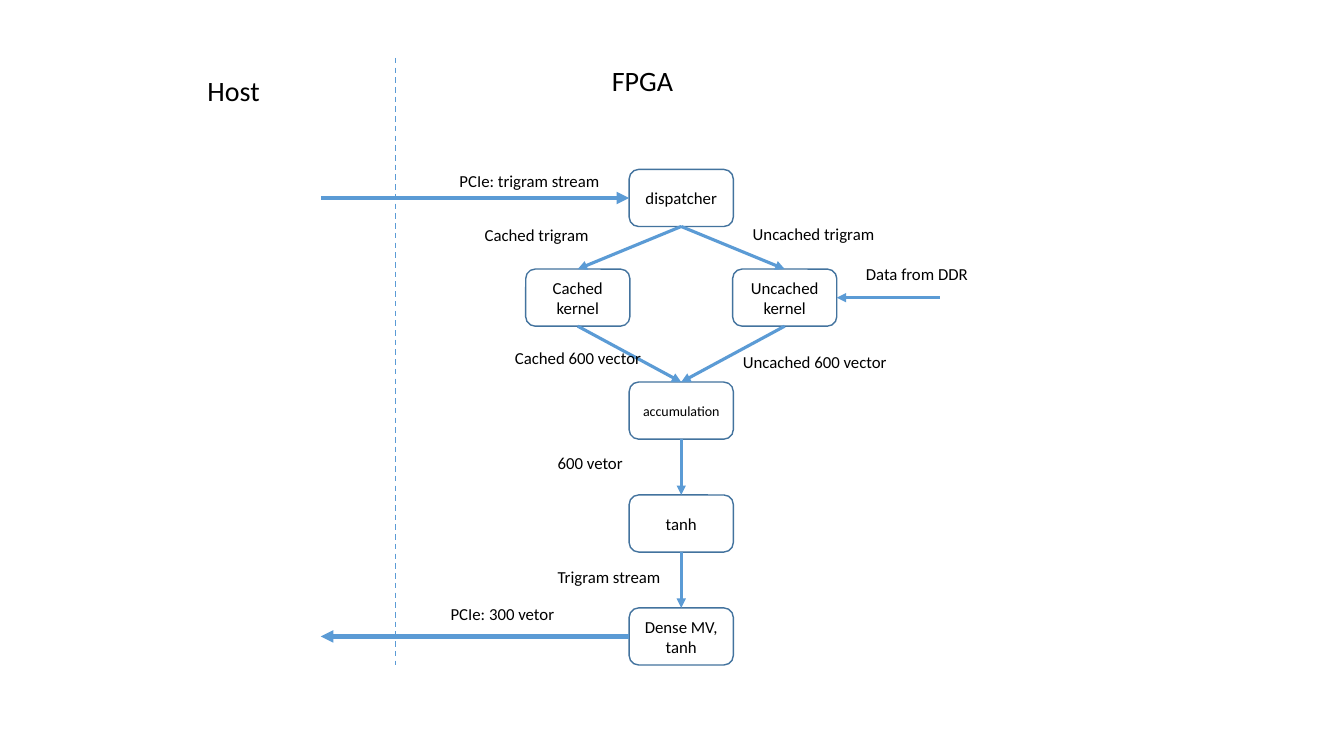
import pptx
import pptx.dml.color
import pptx.enum.dml
import pptx.enum.shapes
import pptx.enum.text
import pptx.oxml.ns
import pptx.util
from lxml import etree

Pt = pptx.util.Pt
TOP, LEFT, BOTTOM, RIGHT = range(4)


def color(value):
    return pptx.dml.color.RGBColor.from_string(value)


class Diagram:
    font = "Calibri"
    ink, outline, accent = "000000", "43739E", "5B9BD5"
    box_w, box_h = 74.4, 40.8

    def __init__(self, slide):
        self.slide = slide

    def style(self, tf, size):
        for p in tf.paragraphs:
            for r in p.runs:
                r.font.name = self.font
                r.font.size = Pt(size)
                r.font.color.rgb = color(self.ink)

    def box(self, text, x, y, size=12):
        sp = self.slide.shapes.add_shape(
            pptx.enum.shapes.MSO_SHAPE.ROUNDED_RECTANGLE,
            Pt(x), Pt(y), Pt(self.box_w), Pt(self.box_h))
        sp.shadow.inherit = False
        sp.fill.background()
        sp.line.color.rgb = color(self.outline)
        sp.line.width = Pt(1)
        tf = sp.text_frame
        tf.text = text
        tf.vertical_anchor = pptx.enum.text.MSO_ANCHOR.MIDDLE
        tf.paragraphs[0].alignment = pptx.enum.text.PP_ALIGN.CENTER
        self.style(tf, size)
        return sp

    def label(self, text, x, y, w, size=12):
        h = 21.8 if size == 12 else 31.5
        sp = self.slide.shapes.add_textbox(Pt(x), Pt(y), Pt(w), Pt(h))
        tf = sp.text_frame
        tf.word_wrap = True
        tf.auto_size = pptx.enum.text.MSO_AUTO_SIZE.SHAPE_TO_FIT_TEXT
        tf.text = text
        self.style(tf, size)

    def line(self, x1, y1, x2, y2, width):
        cn = self.slide.shapes.add_connector(
            pptx.enum.shapes.MSO_CONNECTOR.STRAIGHT, Pt(x1), Pt(y1), Pt(x2), Pt(y2))
        cn.line.color.rgb = color(self.accent)
        cn.line.width = Pt(width)
        etree.SubElement(cn.element.spPr, pptx.oxml.ns.qn("a:effectLst"))
        return cn

    def divider(self, x, y1, y2):
        cn = self.line(x, y1, x, y2, 1)
        cn.line.dash_style = pptx.enum.dml.MSO_LINE.DASH

    def arrow(self, width=2.25, start=None, end=None, begin=(0, 0), finish=(0, 0)):
        """start and end are (box, side); begin and finish are free points."""
        cn = self.line(*begin, *finish, width)
        if start:
            cn.begin_connect(*start)
        if end:
            cn.end_connect(*end)
        ln = cn.line._get_or_add_ln()
        etree.SubElement(ln, pptx.oxml.ns.qn("a:tailEnd"), type="triangle")


def main():
    prs = pptx.Presentation()
    prs.slide_width, prs.slide_height = Pt(960), Pt(540)
    d = Diagram(prs.slides.add_slide(prs.slide_layouts[6]))

    # Processing blocks: a centre column with one block on either side
    mid, side = 449.4, 73.9
    lower, pitch = 272.9, 80.65
    dispatcher = d.box("dispatcher", mid, 121)
    cached = d.box("Cached kernel", mid - side, 192.2)
    uncached = d.box("Uncached kernel", mid + side, 192.2)
    accumulation = d.box("accumulation", mid, lower, 10)
    tanh = d.box("tanh", mid, lower + pitch)
    dense = d.box("Dense MV, tanh", mid, lower + 2 * pitch)

    # Flow between blocks
    for source, target in [(dispatcher, cached), (dispatcher, uncached),
                           (uncached, accumulation), (cached, accumulation),
                           (accumulation, tanh), (tanh, dense)]:
        d.arrow(start=(source, BOTTOM), end=(target, TOP))

    # Host boundary, PCIe transfers and DDR input
    host_x = 229.2
    d.divider(282.5, 41.3, 475)
    d.arrow(3, begin=(host_x, 141.4), end=(dispatcher, LEFT))
    d.arrow(3, start=(dense, LEFT), finish=(host_x, 454.6))
    d.arrow(begin=(671.3, 212.6), end=(uncached, RIGHT))

    # Labels
    for text, x, y, w in [
            ("PCIe: trigram stream", 321.1, 118.4, 121.7),
            ("Cached trigram", 339.1, 157, 103.7),
            ("Uncached trigram", 530.6, 156.2, 103.7),
            ("Uncached 600 vector", 523.6, 247.8, 119.5),
            ("Cached 600 vector", 360.7, 245, 113),
            ("600 vetor", 391.2, 320, 103.7),
            ("Trigram stream", 391.2, 401.2, 103.7),
            ("PCIe: 300 vetor", 314.8, 427.8, 103.7),
            ("Data from DDR", 611.4, 185, 103.7)]:
        d.label(text, x, y, w)

    # Region titles
    d.label("Host", 141.1, 49, 113, 20)
    d.label("FPGA", 430, 41.8, 113, 20)

    prs.save("out.pptx")


if __name__ == "__main__":
    main()
